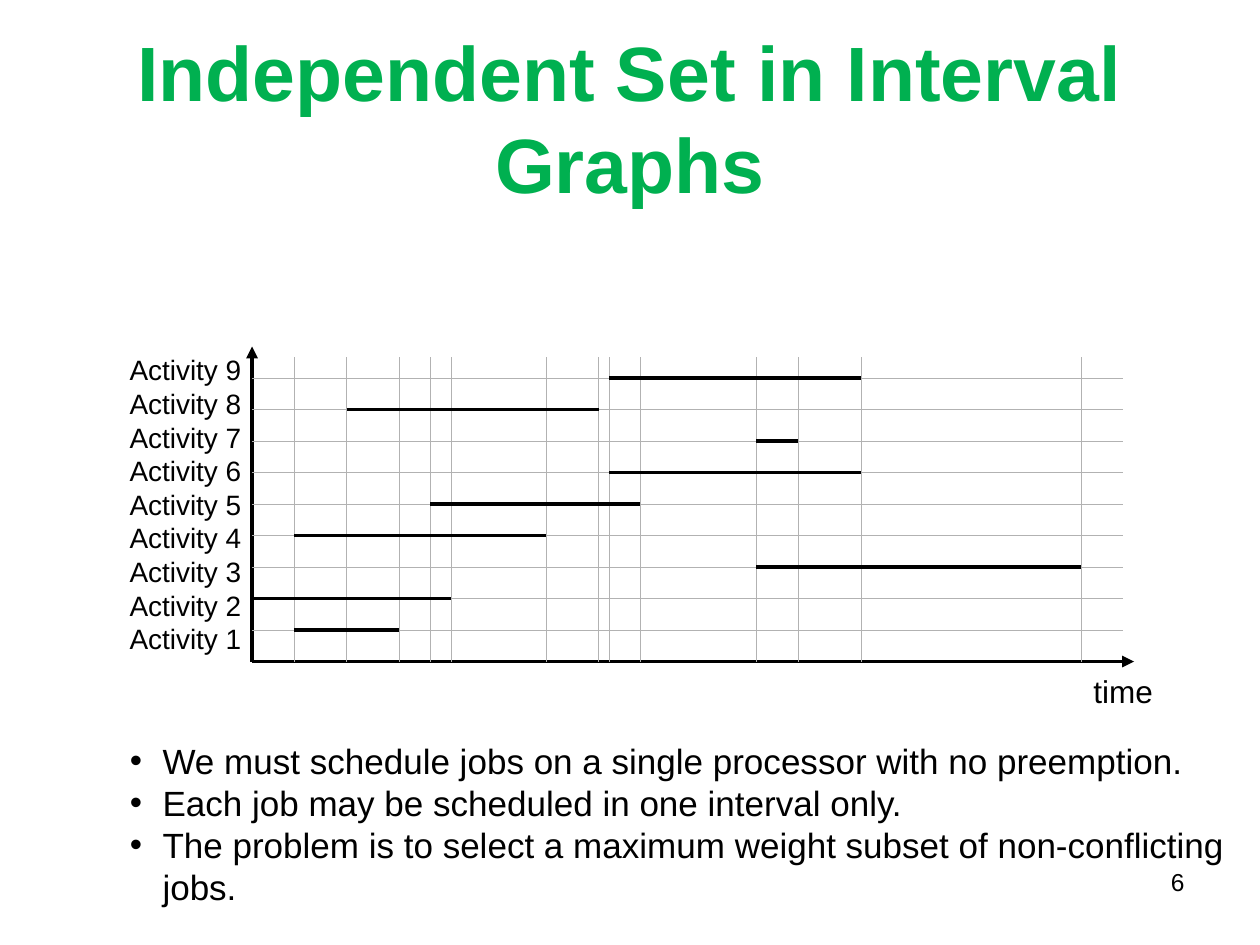
import lxml.etree
import pptx
import pptx.dml.color
import pptx.enum.shapes
import pptx.enum.text
import pptx.oxml.ns
import pptx.util

ALIGN = pptx.enum.text.PP_ALIGN
ANCHOR = pptx.enum.text.MSO_ANCHOR
BLACK, GREY, GREEN = "000000", "B2B2B2", "00B050"
JOBS = [(4, 14), (0, 19), (48, 79), (4, 28), (17, 37),
        (34, 58), (48, 52), (9, 33), (34, 58)]
NOTES = ["We must schedule jobs on a single processor with no preemption.",
         "Each job may be scheduled in one interval only.",
         "The problem is to select a maximum weight subset of non-conflicting jobs."]


def color(code):
    return pptx.dml.color.RGBColor.from_string(code)


def write(frame, lines, size=16, tint=BLACK, bold=False, align=ALIGN.LEFT,
          anchor=ANCHOR.TOP, wrap=True, hang=0):
    frame.word_wrap = wrap
    frame.auto_size = pptx.enum.text.MSO_AUTO_SIZE.NONE
    frame.vertical_anchor = anchor
    frame.text = "\n".join(lines)
    for para in frame.paragraphs:
        para.alignment = align
        para.space_before = pptx.util.Pt(0)
        font = para.font
        font.name, font.size, font.bold = "Arial", pptx.util.Pt(size), bold
        font.color.rgb = color(tint)
        if hang:
            props = para._p.get_or_add_pPr()
            props.set("marL", str(pptx.util.Inches(hang)))
            props.set("indent", str(-pptx.util.Inches(hang)))


class Chart:
    """Draws on a slide, with a time grid of twelfth-inch columns and quarter-inch rows."""

    left, base = 2, 5.25
    col, row = 1 / 12, 1 / 4

    def __init__(self, deck):
        self.wide, self.high = deck.slide_width, deck.slide_height
        self.slide = deck.slides.add_slide(deck.slide_layouts[1])

    def place(self, shape, box):
        x, y, w, h = box
        shape.left, shape.top = round(x * self.wide), round(y * self.high)
        shape.width, shape.height = round(w * self.wide), round(h * self.high)

    def title(self, text, box, **form):
        shape = self.slide.shapes.title
        self.place(shape, box)
        write(shape.text_frame, [text], **form)

    def body(self, lines, box, **form):
        shape = self.slide.placeholders[1]
        self.place(shape, box)
        write(shape.text_frame, lines, **form)

    def label(self, lines, box, **form):
        shape = self.slide.shapes.add_textbox(0, 0, 0, 0)
        self.place(shape, box)
        write(shape.text_frame, lines, **form)

    def line(self, start, end, tint=BLACK, width=2.25, arrow=False):
        ends = [pptx.util.Inches(n) for c, r in (start, end)
                for n in (self.left + c * self.col, self.base - r * self.row)]
        kind = pptx.enum.shapes.MSO_CONNECTOR.STRAIGHT
        link = self.slide.shapes.add_connector(kind, *ends)
        link.line.color.rgb = color(tint)
        link.line.width = pptx.util.Pt(width)
        qn = pptx.oxml.ns.qn
        if arrow:
            lxml.etree.SubElement(link.line._get_or_add_ln(), qn("a:tailEnd"), type="triangle")
        lxml.etree.SubElement(link._element.spPr, qn("a:effectLst"))


def main():
    deck = pptx.Presentation()
    deck.slide_width, deck.slide_height = pptx.util.Inches(10), pptx.util.Inches(7.5)
    page = Chart(deck)
    page.title("Independent Set in Interval Graphs", (0.05, 0.04, 0.9, 1 / 6), size=44,
               tint=GREEN, bold=True, align=ALIGN.CENTER, anchor=ANCHOR.MIDDLE)
    page.line((0, 0), (84, 0), arrow=True)
    page.line((0, 0), (0, 10), arrow=True)
    for row in range(1, len(JOBS) + 1):
        page.line((0, row), (83, row), GREY, 0.25)
    for col in sorted({end for job in JOBS for end in job if end}):
        page.line((col, 0), (col, 29 / 3), GREY, 0.25)
    for row, (start, end) in enumerate(JOBS, 1):
        page.line((start, row), (end, row))
    names = [f"Activity {n}" for n in range(len(JOBS), 0, -1)]
    page.label(names, (0.093, 0.367, 0.108, 0.333), wrap=False)
    page.label(["time"], (0.858, 0.705, 0.067, 0.053), size=18, wrap=False)
    page.body(NOTES, (0.093, 0.776, 0.891, 0.192), size=20, hang=0.26)
    page.label(["6"], (0.717, 0.911, 0.233, 0.069), size=14, align=ALIGN.RIGHT)
    deck.save("out.pptx")


if __name__ == "__main__":
    main()
